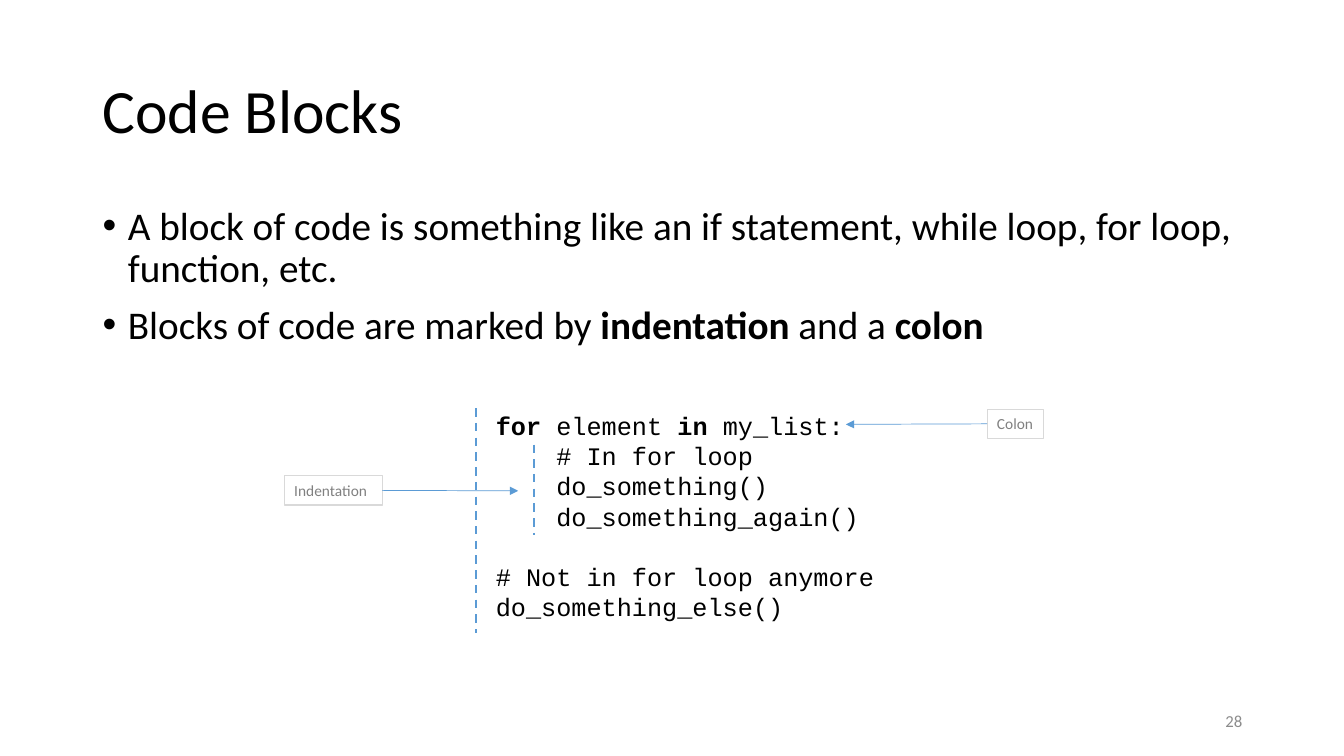
from lxml import etree
from pptx import Presentation
from pptx.dml.color import RGBColor
from pptx.enum.dml import MSO_LINE
from pptx.enum.shapes import MSO_CONNECTOR, MSO_SHAPE
from pptx.enum.text import MSO_ANCHOR as Anchor, MSO_AUTO_SIZE as AutoSize, PP_ALIGN as Align
from pptx.oxml.ns import qn
from pptx.util import Inches, Pt

COLORS = {"text": "000000", "number": "8C8C8C", "label": "808080",
          "border": "D9D9D9", "guide": "5B9BD5"}

# Each paragraph is a list of (text, bold) spans.
TITLE = [[("Code Blocks", False)]]
BULLETS = [
    [("A block of code is something like an if statement, while loop, "
      "for loop, function, etc.", False)],
    [("Blocks of code are marked by ", False), ("indentation", True),
     (" and a ", False), ("colon", True)],
]
PAGE_NUMBER = [[("28", False)]]

# Code lines: indent level, blank lines above, spans.
CODE = [
    (0, 0, [("for", True), (" element ", False), ("in ", True), ("my_list:", False)]),
    (1, 0, [("# In for loop", False)]),
    (1, 0, [("do_something()", False)]),
    (1, 0, [("do_something_again()", False)]),
    (0, 1, [("# Not in for loop anymore", False)]),
    (0, 0, [("do_something_else()", False)]),
]
CODE_INDENT = 0.6
CODE_LINE = 21.6

# Labels: text, box, side the arrow leaves from, arrow tip.
LABELS = [
    ("Colon", (9.79, 4.06, 0.56, 0.29), 1, (8.39, 4.21)),
    ("Indentation", (2.82, 4.72, 0.97, 0.29), 3, (5.14, 4.87)),
]
# Dashed guides: x, top, bottom.
GUIDES = [(4.72, 4.05, 6.28), (5.3, 4.41, 5.31)]


def rgb(name):
    return RGBColor.from_string(COLORS[name])


def write(box, paragraphs, size, color="text", font="Calibri", align=Align.LEFT,
          spacing=None, **frame_format):
    """Fill a shape with paragraphs of spans and return the paragraphs."""
    frame = box.text_frame
    for name, value in {"word_wrap": True, **frame_format}.items():
        setattr(frame, name, value)
    paras = []
    for index, spans in enumerate(paragraphs):
        para = frame.add_paragraph() if index else frame.paragraphs[0]
        para.alignment = align
        para.line_spacing = spacing
        for text, bold in spans:
            span = para.add_run()
            span.text = text
            for name, value in {"name": font, "size": Pt(size), "bold": bold}.items():
                setattr(span.font, name, value)
            span.font.color.rgb = rgb(color)
        paras.append(para)
    return paras


def add_text(page, area, paragraphs, size, **text_format):
    box = page.shapes.add_textbox(*map(Inches, area))
    return write(box, paragraphs, size, **text_format)


def indent(para, left, first=0):
    properties = para._p.get_or_add_pPr()
    properties.set("marL", str(Inches(left)))
    properties.set("indent", str(Inches(first)))
    return properties


def add_line(page, start, end, width):
    line = page.shapes.add_connector(MSO_CONNECTOR.STRAIGHT, *map(Inches, start + end))
    line.line.color.rgb = rgb("guide")
    line.line.width = Pt(width)
    etree.SubElement(line._element.spPr, qn("a:effectLst"))
    return line


def add_label(page, text, area, side, tip):
    box = page.shapes.add_shape(MSO_SHAPE.RECTANGLE, *map(Inches, area))
    box.shadow.inherit = False
    box.fill.background()
    box.line.color.rgb = rgb("border")
    box.line.width = Pt(0.75)
    write(box, [[(text, False)]], 11, color="label", word_wrap=False,
          vertical_anchor=Anchor.TOP, auto_size=AutoSize.SHAPE_TO_FIT_TEXT)
    left, top, width, height = area
    start = (left + (width if side == 3 else 0), top + height / 2)
    arrow = add_line(page, start, tip, 0.5)
    arrow.begin_connect(box, side)
    etree.SubElement(arrow.line._get_or_add_ln(), qn("a:tailEnd"), type="triangle")


def main():
    deck = Presentation()
    deck.slide_width, deck.slide_height = Inches(13.33), Inches(7.5)
    page = deck.slides.add_slide(deck.slide_layouts[6])

    add_text(page, (0.92, 0.4, 11.5, 1.45), TITLE, 44, spacing=0.9,
             vertical_anchor=Anchor.MIDDLE)
    for para in add_text(page, (0.92, 2, 11.5, 4.76), BULLETS, 28, spacing=0.9):
        para.space_before = Pt(10)
        properties = indent(para, 0.25, -0.25)
        etree.SubElement(properties, qn("a:buFont"), typeface="Arial")
        etree.SubElement(properties, qn("a:buChar"), char="•")
    add_text(page, (9.42, 6.95, 3, 0.4), PAGE_NUMBER, 12, color="number",
             align=Align.RIGHT, vertical_anchor=Anchor.MIDDLE)

    code_paras = add_text(page, (4.82, 4.02, 3.97, 2.52), [spans for _, _, spans in CODE],
                          18, font="Courier New", word_wrap=False,
                          auto_size=AutoSize.SHAPE_TO_FIT_TEXT)
    for para, (level, blank_lines, _) in zip(code_paras, CODE):
        indent(para, level * CODE_INDENT)
        para.space_before = Pt(blank_lines * CODE_LINE)

    for label in LABELS:
        add_label(page, *label)
    for x, top, bottom in GUIDES:
        add_line(page, (x, top), (x, bottom), 1.5).line.dash_style = MSO_LINE.DASH

    deck.save("out.pptx")


if __name__ == "__main__":
    main()
